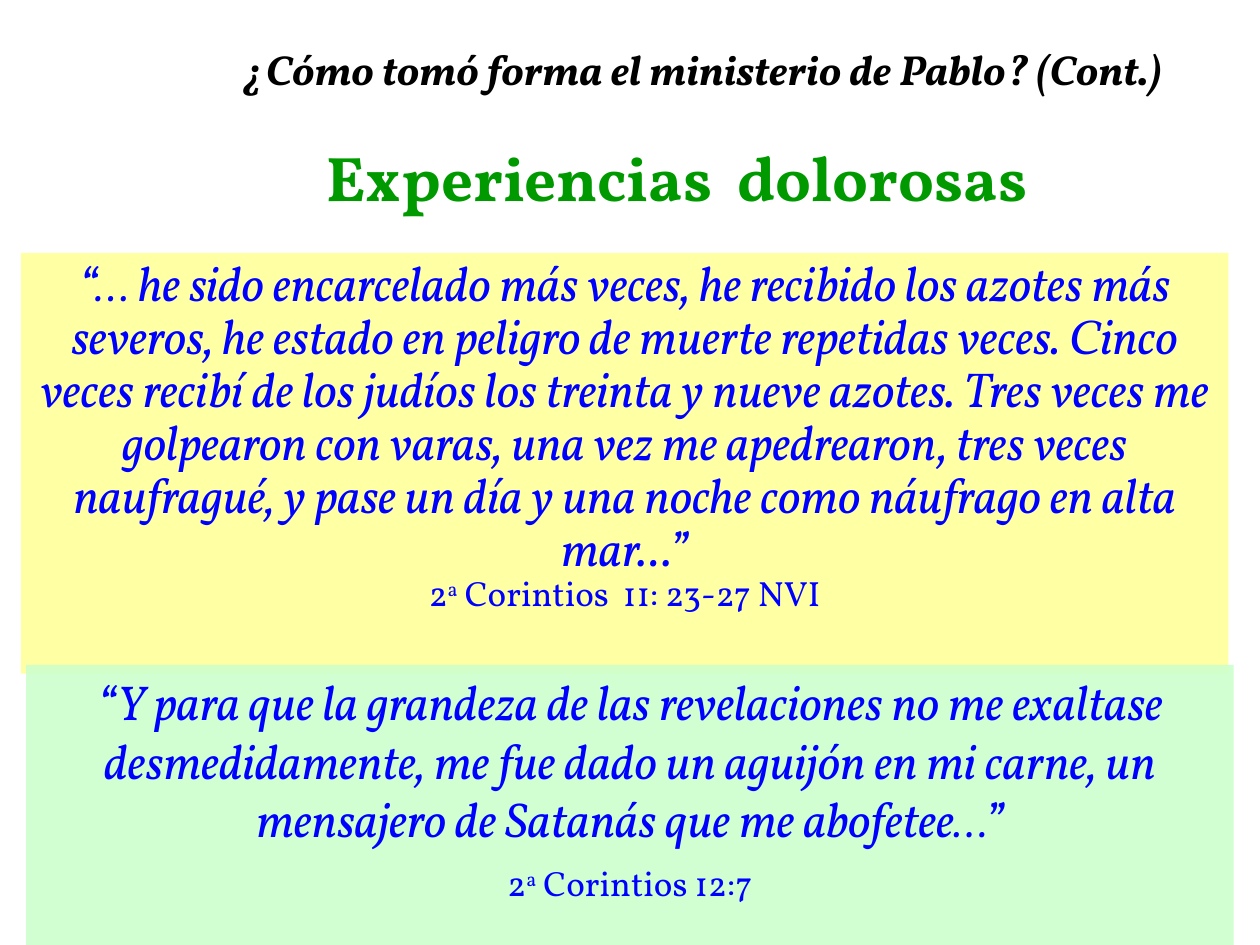
"""Build the slide on the painful experiences that shaped Paul's ministry."""
from dataclasses import dataclass
from typing import Optional

from lxml import etree
from pptx import Presentation
from pptx.dml.color import RGBColor
from pptx.enum.shapes import MSO_SHAPE
from pptx.enum.text import MSO_ANCHOR, PP_ALIGN
from pptx.oxml.ns import qn
from pptx.slide import Slide
from pptx.util import Pt

RECTANGLE = MSO_SHAPE.RECTANGLE
TOP, MIDDLE = MSO_ANCHOR.TOP, MSO_ANCHOR.MIDDLE
LEFT, CENTER = PP_ALIGN.LEFT, PP_ALIGN.CENTER

FONT = "Vollkorn"
BLACK = RGBColor(0x00, 0x00, 0x00)
GREEN = RGBColor(0x00, 0x99, 0x00)
BLUE = RGBColor(0x00, 0x00, 0xFF)
PALE_YELLOW = RGBColor(0xFF, 0xFF, 0x99)
PALE_GREEN = RGBColor(0xCC, 0xFF, 0xCC)
OPACITY = "90000"
SUPERSCRIPT = "30000"


@dataclass(frozen=True)
class Box:
    left: float
    top: float
    width: float
    height: float


@dataclass(frozen=True)
class Heading:
    box: Box
    text: str
    size: float
    color: RGBColor
    alignment: PP_ALIGN
    italic: bool


@dataclass(frozen=True)
class Quotation:
    box: Box
    fill: RGBColor
    text: str
    reference: str
    line_spacing: Optional[float] = None
    reference_gap: float = 0


HEADINGS = (
    Heading(Box(150, 67.5, 473.5, 66), "Experiencias  dolorosas", 36, GREEN, CENTER, False),
    Heading(Box(132, 19, 570, 40), "¿Cómo tomó forma el ministerio de Pablo? (Cont.)",
            24, BLACK, LEFT, True),
)
QUOTATIONS = (
    Quotation(
        Box(12, 144.5, 690, 240.5), PALE_YELLOW,
        "“… he sido encarcelado más veces, he recibido los azotes más severos, "
        "he estado en peligro de muerte repetidas veces. Cinco veces recibí de los "
        "judíos los treinta y nueve azotes. Tres veces me golpearon con varas, una vez "
        "me apedrearon, tres veces naufragué, y pase un día y una noche como náufrago "
        "en alta mar...”",
        " Corintios  11: 23-27 NVI", line_spacing=0.9),
    Quotation(
        Box(15, 380, 690, 160), PALE_GREEN,
        "“Y para que la grandeza de las revelaciones no me exaltase desmedidamente, "
        "me fue dado un aguijón en mi carne, un mensajero de Satanás que me abofetee…”",
        " Corintios 12:7", reference_gap=8),
)


def set_font(paragraph, size: float, color: RGBColor, bold: bool, italic: bool) -> None:
    font = paragraph.font
    font.name, font.size = FONT, Pt(size)
    font.bold, font.italic = bold, italic
    font.color.rgb = color


def add_heading(slide: Slide, heading: Heading) -> None:
    box = heading.box
    shape = slide.shapes.add_textbox(Pt(box.left), Pt(box.top), Pt(box.width), Pt(box.height))
    frame = shape.text_frame
    frame.word_wrap = True
    frame.vertical_anchor = MIDDLE
    paragraph = frame.paragraphs[0]
    paragraph.text = heading.text
    paragraph.alignment = heading.alignment
    set_font(paragraph, heading.size, heading.color, True, heading.italic)


def add_quotation(slide: Slide, quotation: Quotation) -> None:
    box = quotation.box
    shape = slide.shapes.add_shape(
        RECTANGLE, Pt(box.left), Pt(box.top), Pt(box.width), Pt(box.height))
    shape.shadow.inherit = False
    shape.line.fill.background()
    shape.fill.solid()
    shape.fill.fore_color.rgb = quotation.fill
    color = shape.fill._xPr.find(qn("a:solidFill")).find(qn("a:srgbClr"))
    etree.SubElement(color, qn("a:alpha")).set("val", OPACITY)

    frame = shape.text_frame
    frame.word_wrap = True
    frame.vertical_anchor = TOP
    verse = frame.paragraphs[0]
    verse.text = quotation.text
    set_font(verse, 28, BLUE, False, True)

    reference = frame.add_paragraph()
    for text in ("2", "a", quotation.reference):
        reference.add_run().text = text
    reference.runs[1]._r.get_or_add_rPr().set("baseline", SUPERSCRIPT)
    reference.space_before = Pt(quotation.reference_gap)
    set_font(reference, 20, BLUE, False, False)

    for paragraph in frame.paragraphs:
        paragraph.alignment = CENTER
        paragraph.line_spacing = quotation.line_spacing


def main() -> None:
    presentation = Presentation()
    presentation.slide_width, presentation.slide_height = Pt(720), Pt(540)
    slide = presentation.slides.add_slide(presentation.slide_layouts[6])
    for heading in HEADINGS:
        add_heading(slide, heading)
    for quotation in QUOTATIONS:
        add_quotation(slide, quotation)
    presentation.save("out.pptx")


if __name__ == "__main__":
    main()
